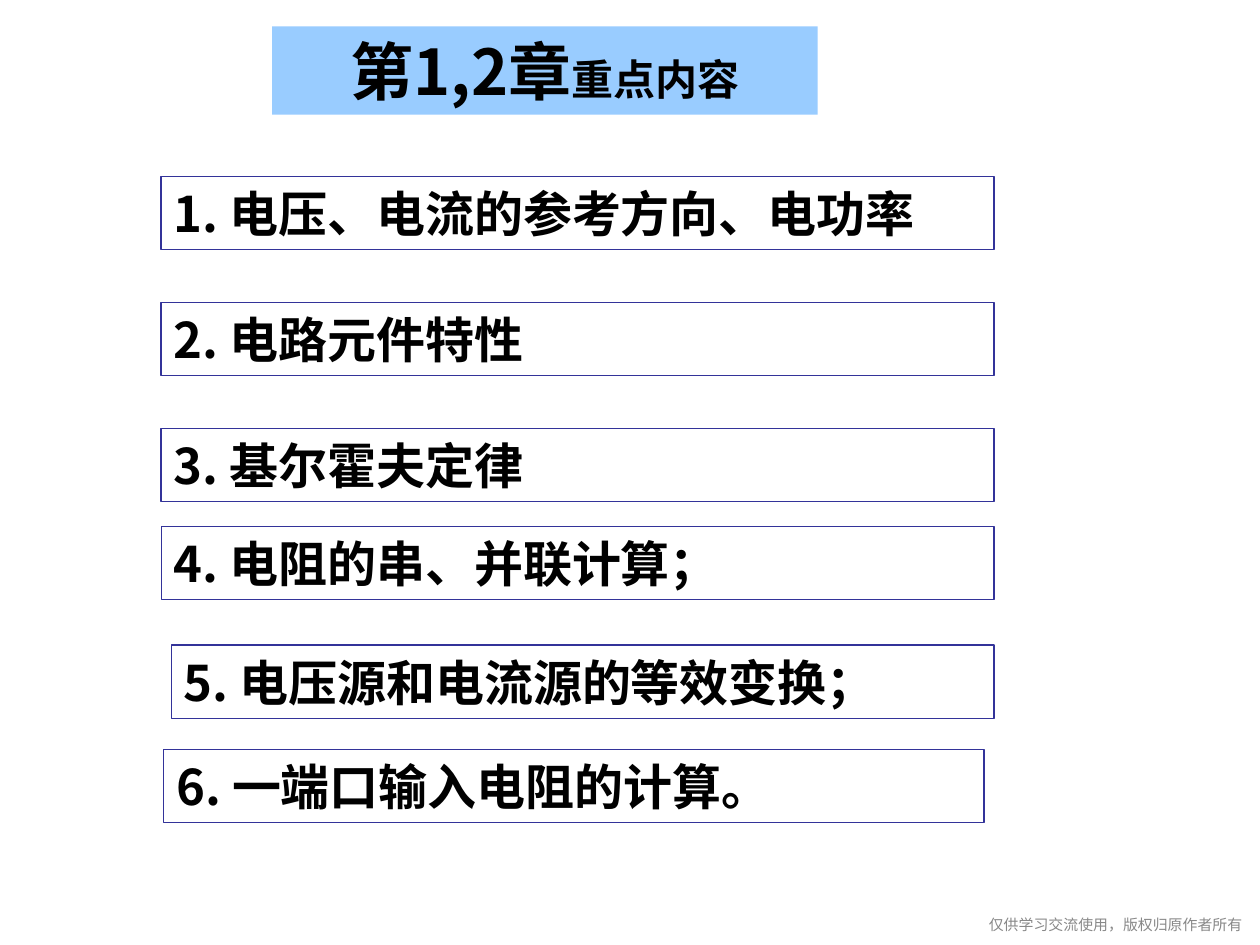
from dataclasses import dataclass

from lxml import etree
from pptx import Presentation
from pptx.dml.color import RGBColor
from pptx.enum.shapes import MSO_SHAPE
from pptx.enum.text import MSO_ANCHOR, PP_ALIGN
from pptx.oxml.ns import qn
from pptx.util import Inches, Pt

RECT = MSO_SHAPE.RECTANGLE
MIDDLE = MSO_ANCHOR.MIDDLE
LEFT, CENTER, RIGHT = PP_ALIGN.LEFT, PP_ALIGN.CENTER, PP_ALIGN.RIGHT


@dataclass(frozen=True)
class Theme:
    ink: RGBColor = RGBColor(0x00, 0x00, 0x00)
    edge: RGBColor = RGBColor(0x33, 0x33, 0x99)
    band: RGBColor = RGBColor(0x99, 0xCC, 0xFF)
    gray: RGBColor = RGBColor(0x88, 0x88, 0x88)
    sans: str = "Noto Sans CJK SC"
    serif: str = "Times New Roman"
    head: float = 36
    sub: float = 24
    body: float = 28
    note: float = 8.5


@dataclass(frozen=True)
class Part:
    text: str
    size: float
    font: str
    color: RGBColor
    bold: bool = True


@dataclass(frozen=True)
class Topic:
    text: str
    left: float
    top: float
    width: float
    line: float


THEME = Theme()
TOPICS = [
    Topic("电压、电流的参考方向、电功率", 1.28, 1.4, 6.61, 1),
    Topic("电路元件特性", 1.28, 2.4, 6.61, 1),
    Topic("基尔霍夫定律", 1.28, 3.4, 6.61, 1),
    Topic("电阻的串、并联计算；", 1.28, 4.18, 6.61, 0.75),
    Topic("电压源和电流源的等效变换；", 1.36, 5.12, 6.53, 0.75),
    Topic("一端口输入电阻的计算。", 1.3, 5.95, 6.51, 0.75),
]


def write(shape, parts: list[Part], align) -> None:
    frame = shape.text_frame
    frame.word_wrap = True
    frame.vertical_anchor = MIDDLE
    para = frame.paragraphs[0]
    para.alignment = align
    for part in parts:
        run = para.add_run()
        run.text = part.text
        font = run.font
        font.size = Pt(part.size)
        font.bold = part.bold
        font.color.rgb = part.color
        font.name = part.font
        # Chinese glyphs take the East Asian face
        asian = etree.SubElement(run._r.get_or_add_rPr(), qn("a:ea"))
        asian.set("typeface", THEME.sans)


def add_box(slide, left: float, top: float, width: float, height: float):
    box = slide.shapes.add_shape(
        RECT, Inches(left), Inches(top), Inches(width), Inches(height))
    box.shadow.inherit = False
    return box


def add_title(slide) -> None:
    box = add_box(slide, 2.16, 0.21, 4.33, 0.7)
    box.fill.solid()
    box.fill.fore_color.rgb = THEME.band
    box.line.fill.background()
    write(box, [Part("第1,2章", THEME.head, THEME.sans, THEME.ink),
                Part("重点内容", THEME.sub, THEME.serif, THEME.ink)], CENTER)


def add_topic(slide, num: int, topic: Topic) -> None:
    box = add_box(slide, topic.left, topic.top, topic.width, 0.58)
    box.fill.background()
    box.line.color.rgb = THEME.edge
    box.line.width = Pt(topic.line)
    text = f"{num}. {topic.text}"
    write(box, [Part(text, THEME.body, THEME.sans, THEME.ink)], LEFT)


def add_note(slide) -> None:
    box = slide.shapes.add_textbox(
        Inches(6.06), Inches(7.23), Inches(3.8), Inches(0.22))
    frame = box.text_frame
    frame.margin_left = frame.margin_right = 0
    frame.margin_top = frame.margin_bottom = 0
    write(box, [Part("仅供学习交流使用，版权归原作者所有", THEME.note,
                     THEME.serif, THEME.gray, False)], RIGHT)


def main() -> None:
    deck = Presentation()
    deck.slide_width, deck.slide_height = Inches(10), Inches(7.5)
    slide = deck.slides.add_slide(deck.slide_layouts[6])

    # Heading, numbered topics, copyright line
    add_title(slide)
    for num, topic in enumerate(TOPICS, 1):
        add_topic(slide, num, topic)
    add_note(slide)

    deck.save("out.pptx")


if __name__ == "__main__":
    main()
